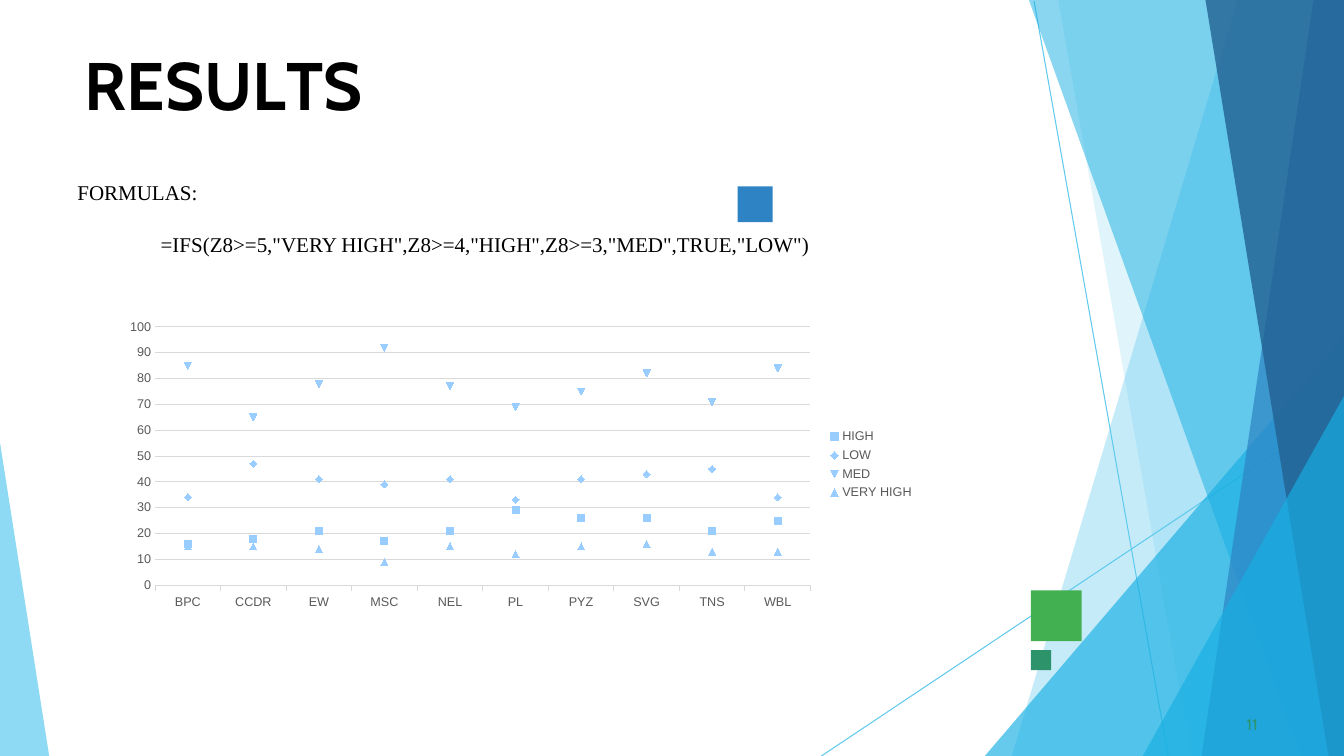
"""Build the results slide: formula text, rating chart and faceted backdrop."""
from dataclasses import dataclass

from lxml.etree import SubElement
from pptx import Presentation
from pptx.chart.data import CategoryChartData
from pptx.dml.color import RGBColor
from pptx.enum.chart import XL_CHART_TYPE, XL_LEGEND_POSITION, XL_TICK_MARK
from pptx.enum.shapes import MSO_CONNECTOR, MSO_SHAPE
from pptx.oxml.ns import qn
from pptx.util import Cm, Pt


@dataclass(frozen=True)
class Theme:
    """Colours, fonts and type sizes of the slide."""
    black: str = "000000"
    sky: str = "5FCAEE"
    cyan: str = "17AFE3"
    blue: str = "2D83C3"
    navy: str = "226192"
    green: str = "42AF51"
    teal: str = "2D936B"
    marker: str = "99CCFF"
    label: str = "595959"
    grid: str = "D9D9D9"
    heading: str = "Cabin"
    body: str = "Times New Roman"
    chart: str = "Arial"
    title_size: float = 48
    body_size: float = 15
    number_size: float = 11
    label_size: float = 9


T = Theme()
W, H = 33.87, 19.05

RAYS = [((26.06, 0.03), (29.44, H)), ((W, 10.26), (20.7, H))]
FACETS = [
    ([(W, 0), (31.19, 0), (25.5, H), (W, H)], T.sky, 36),
    ([(W, 0), (26.67, 0), (30.02, H), (W, H)], T.sky, 20),
    ([(W, 8.46), (24.82, H), (W, H)], T.cyan, 66),
    ([(W, 0), (25.93, 0), (32.79, H), (W, H)], T.cyan, 50),
    ([(W, 0), (33.1, 0), (30.28, H), (W, H)], T.blue, 70),
    ([(W, 0), (30.38, 0), (33.48, H), (W, H)], T.navy, 80),
    ([(W, 9.98), (28.8, H), (W, H)], T.cyan, 66),
    ([(0, 11.15), (0, H), (1.24, H)], T.sky, 70),
]
BLOCKS = [
    (25.98, 14.88, 1.28, 1.28, T.green),
    (18.59, 4.7, 0.88, 0.9, T.blue),
    (25.98, 16.38, 0.51, 0.51, T.teal),
]
TITLE = [("R", 0), ("E", -0.4), ("S", 0.1), ("U", -0.3), ("L", -4), ("TS", 0)]
FORMULA = '=IFS(Z8>=5,"VERY HIGH",Z8>=4,"HIGH",Z8>=3,"MED",TRUE,"LOW")'
UNITS = ["BPC", "CCDR", "EW", "MSC", "NEL", "PL", "PYZ", "SVG", "TNS", "WBL"]
RATINGS = {
    "HIGH": [16, 18, 21, 17, 21, 29, 26, 26, 21, 25],
    "LOW": [34, 47, 41, 39, 41, 33, 41, 43, 45, 34],
    "MED": [85, 65, 78, 92, 77, 69, 75, 82, 71, 84],
    "VERY HIGH": [15, 15, 14, 9, 15, 12, 15, 16, 13, 13],
}


def apply(target, values):
    """Set each named attribute of the target."""
    for name, value in values.items():
        setattr(target, name, value)


def set_font(font, name, size, color, bold=False):
    """Give a font its face, size, weight and colour."""
    apply(font, {"name": name, "size": Pt(size), "bold": bold})
    font.color.rgb = RGBColor.from_string(color)


def set_line(line, color):
    """Draw a thin line in the colour."""
    line.color.rgb = RGBColor.from_string(color)
    line.width = Pt(0.75)


def paint(sp, color, opacity=100):
    """Fill a shape flat, without outline or shadow."""
    sp.shadow.inherit = False
    sp.line.fill.background()
    sp.fill.solid()
    sp.fill.fore_color.rgb = RGBColor.from_string(color)
    if opacity < 100:
        clr = sp.fill._xPr.find(qn("a:solidFill"))[0]
        SubElement(clr, qn("a:alpha")).set("val", str(opacity * 1000))


def add_ray(s, start, end):
    """Draw a thin straight line."""
    ray = s.shapes.add_connector(MSO_CONNECTOR.STRAIGHT, *map(Cm, start + end))
    set_line(ray.line, T.sky)
    SubElement(ray._element.spPr, qn("a:effectLst"))


def add_facet(s, points, color, opacity):
    """Draw a translucent polygon."""
    (x, y), *rest = [(Cm(px), Cm(py)) for px, py in points]
    builder = s.shapes.build_freeform(x, y)
    builder.add_line_segments(rest, close=True)
    paint(builder.convert_to_shape(), color, opacity)


def add_block(s, x, y, w, h, color):
    """Draw a plain coloured rectangle."""
    sp = s.shapes.add_shape(MSO_SHAPE.RECTANGLE, *map(Cm, (x, y, w, h)))
    paint(sp, color)


def add_text(s, box, insets, paragraphs, font):
    """Add a text box of (runs, space before, indent) paragraphs."""
    tf = s.shapes.add_textbox(*map(Cm, box)).text_frame
    left, top = map(Cm, insets)
    apply(tf, {"word_wrap": True, "margin_left": left, "margin_right": left,
               "margin_top": top, "margin_bottom": top})
    for i, (runs, before, indent) in enumerate(paragraphs):
        p = tf.add_paragraph() if i else tf.paragraphs[0]
        p.space_before = Pt(before)
        p._p.get_or_add_pPr().set("marL", str(Cm(indent)))
        for text, spacing in runs:
            r = p.add_run()
            r.text = text
            set_font(r.font, *font)
            if spacing:
                r._r.get_or_add_rPr().set("spc", str(round(spacing * 100)))


def add_rating_chart(s, box):
    """Add the chart of ratings per unit, with markers only."""
    data = CategoryChartData()
    data.categories = UNITS
    for name, values in RATINGS.items():
        data.add_series(name, values)
    chart = s.shapes.add_chart(XL_CHART_TYPE.LINE_MARKERS, *map(Cm, box), data).chart
    apply(chart, {"has_title": False, "has_legend": True})
    set_font(chart.font, T.chart, T.label_size, T.label)
    apply(chart.legend, {"position": XL_LEGEND_POSITION.RIGHT, "include_in_layout": False})
    chart.plots[0].vary_by_categories = False
    for series in chart.plots[0].series:
        series.smooth = False
        series.format.line.fill.background()
        series.marker.size = 5
        fill = series.marker.format.fill
        fill.solid()
        fill.fore_color.rgb = RGBColor.from_string(T.marker)
        series.marker.format.line.fill.background()
    cat, val = chart.category_axis, chart.value_axis
    apply(cat, {"major_tick_mark": XL_TICK_MARK.OUTSIDE, "minor_tick_mark": XL_TICK_MARK.NONE})
    set_line(cat.format.line, T.grid)
    apply(val, {"major_tick_mark": XL_TICK_MARK.NONE, "minor_tick_mark": XL_TICK_MARK.NONE,
                "has_major_gridlines": True, "minimum_scale": 0, "maximum_scale": 100,
                "major_unit": 10})
    val.format.line.fill.background()
    set_line(val.major_gridlines.format.line, T.grid)


def main():
    """Assemble and save the slide."""
    prs = Presentation()
    apply(prs, {"slide_width": Cm(W), "slide_height": Cm(H)})
    s = prs.slides.add_slide(prs.slide_layouts[6])
    for ray in RAYS:
        add_ray(s, *ray)
    for facet in FACETS:
        add_facet(s, *facet)
    for block in BLOCKS:
        add_block(s, *block)
    add_text(s, (2.11, 1.07, 29.67, 2.06), (0, 0.03), [(TITLE, 1, 0.03)],
             (T.heading, T.title_size, T.black, True))
    add_text(s, (1.7, 4.39, 30.48, 2.18), (0.25, 0.13),
             [([("FORMULAS:", 0)], 0, 0), ([(FORMULA, 0)], 19, 2.1)],
             (T.body, T.body_size, T.black))
    add_text(s, (31.32, 17.98, 0.64, 0.46), (0, 0.03), [([("11", 0.1)], 0.6, 0.1)],
             (T.heading, T.number_size, T.teal))
    add_rating_chart(s, (2.87, 7.9, 20.42, 7.62))
    prs.save("out.pptx")


if __name__ == "__main__":
    main()
